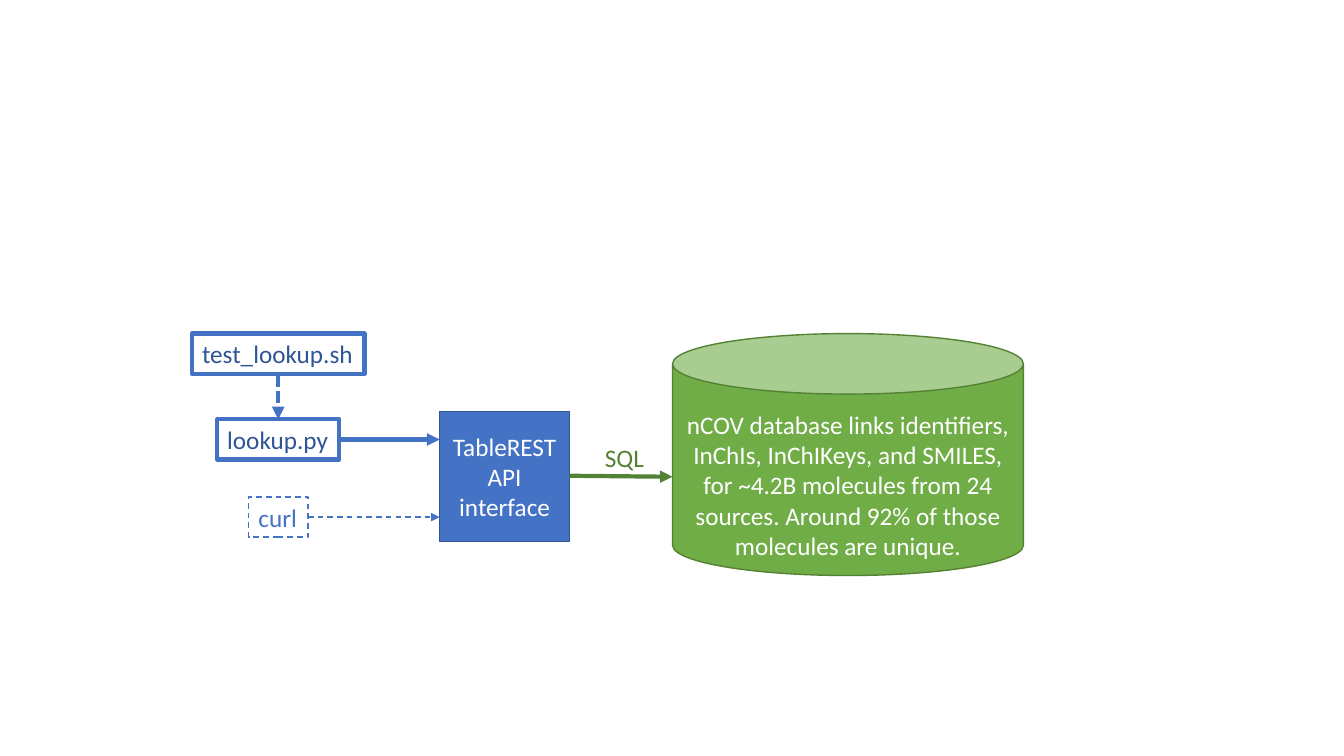
import pptx
import pptx.util
import pptx.dml.color
import pptx.enum.dml
import pptx.enum.shapes
import pptx.enum.text
import pptx.oxml.ns
import lxml.etree

HUES = {"blue": "4472C4", "navy": "2F5597", "edge": "325491",
        "green": "70AD47", "moss": "548235", "white": "FFFFFF"}
KINDS = pptx.enum.shapes.MSO_SHAPE
DASH = pptx.enum.dml.MSO_LINE
ALIGN = pptx.enum.text.PP_ALIGN

deck = pptx.Presentation()
deck.slide_width = pptx.util.Inches(13.33)
deck.slide_height = pptx.util.Inches(7.5)
slide = deck.slides.add_slide(deck.slide_layouts[6])

# The grid has square cells, 75 rows to the slide's height.
CELL = deck.slide_height / 75


def put(text, x, y, w, h, kind=KINDS.RECTANGLE, fill=None, line=None, width=1,
        dash=None, hue="white", align=ALIGN.CENTER, wrap=True, top=0.5):
    """Place a shape with text; place and size are in grid cells."""
    shape = slide.shapes.add_shape(kind, *(round(n * CELL) for n in (x, y, w, h)))
    shape.shadow.inherit = False
    for part, name in ((shape.fill, fill), (shape.line.fill, line)):
        if name:
            part.solid()
            part.fore_color.rgb = pptx.dml.color.RGBColor.from_string(HUES[name])
        else:
            part.background()
    if line:
        shape.line.width = pptx.util.Pt(width)
        shape.line.dash_style = dash
    frame = shape.text_frame
    frame.word_wrap = wrap
    frame.margin_top = round(top * CELL)
    frame.vertical_anchor = pptx.enum.text.MSO_ANCHOR.MIDDLE
    frame.text = text
    for para in frame.paragraphs:
        para.alignment = align
        para.font.name = "Calibri"
        para.font.size = pptx.util.Pt(18)
        para.font.color.rgb = pptx.dml.color.RGBColor.from_string(HUES[hue])


def link(x1, y1, x2, y2, hue="blue", width=3, dash=None):
    """Draw an arrow between two grid points."""
    wire = slide.shapes.add_connector(
        pptx.enum.shapes.MSO_CONNECTOR.STRAIGHT,
        *(round(n * CELL) for n in (x1, y1, x2, y2)))
    wire.line.color.rgb = pptx.dml.color.RGBColor.from_string(HUES[hue])
    wire.line.width = pptx.util.Pt(width)
    wire.line.dash_style = dash
    tag = pptx.oxml.ns.qn
    lxml.etree.SubElement(wire.line._get_or_add_ln(), tag("a:tailEnd"), type="triangle")
    lxml.etree.SubElement(wire._element.spPr, tag("a:effectLst"))


# Columns: the clients' centre, the interface, the database.
mid, api, base = 27.6, 43.6, 66.7
side, tall = 12.9, 4
first = 33.1

# The deeper top inset keeps the text below the lid.
put("nCOV database links identifiers, InChIs, InChIKeys, and SMILES, "
    "for ~4.2B molecules from 24 sources. Around 92% of those molecules are unique.",
    base, first, 34.8, 24, kind=KINDS.CAN, fill="green", line="moss", top=3.5)
put("TableREST\nAPI interface", api, 40.8, side, side, fill="blue", line="edge")

clients = [("test_lookup.sh", first, 17.1, "navy", 3, None),
           ("lookup.py", 41.6, 12.1, "navy", 3, None),
           ("curl", 49.3, 5.9, "blue", 1, DASH.DASH)]
for name, y, w, hue, width, dash in clients:
    put(name, mid - w / 2, y, w, tall, line="blue", width=width, dash=dash,
        hue=hue, align=ALIGN.LEFT, wrap=False)
    if y > first:
        link(mid + w / 2, y + tall / 2, api, y + tall / 2, width=width, dash=dash)

link(mid, first + tall, mid, clients[1][1], dash=DASH.SQUARE_DOT)
link(api + side, 47.2, base, 47.3, hue="moss")
put("SQL", 59, 43.4, 5.9, tall, hue="moss", align=ALIGN.LEFT, wrap=False)

deck.save("out.pptx")
